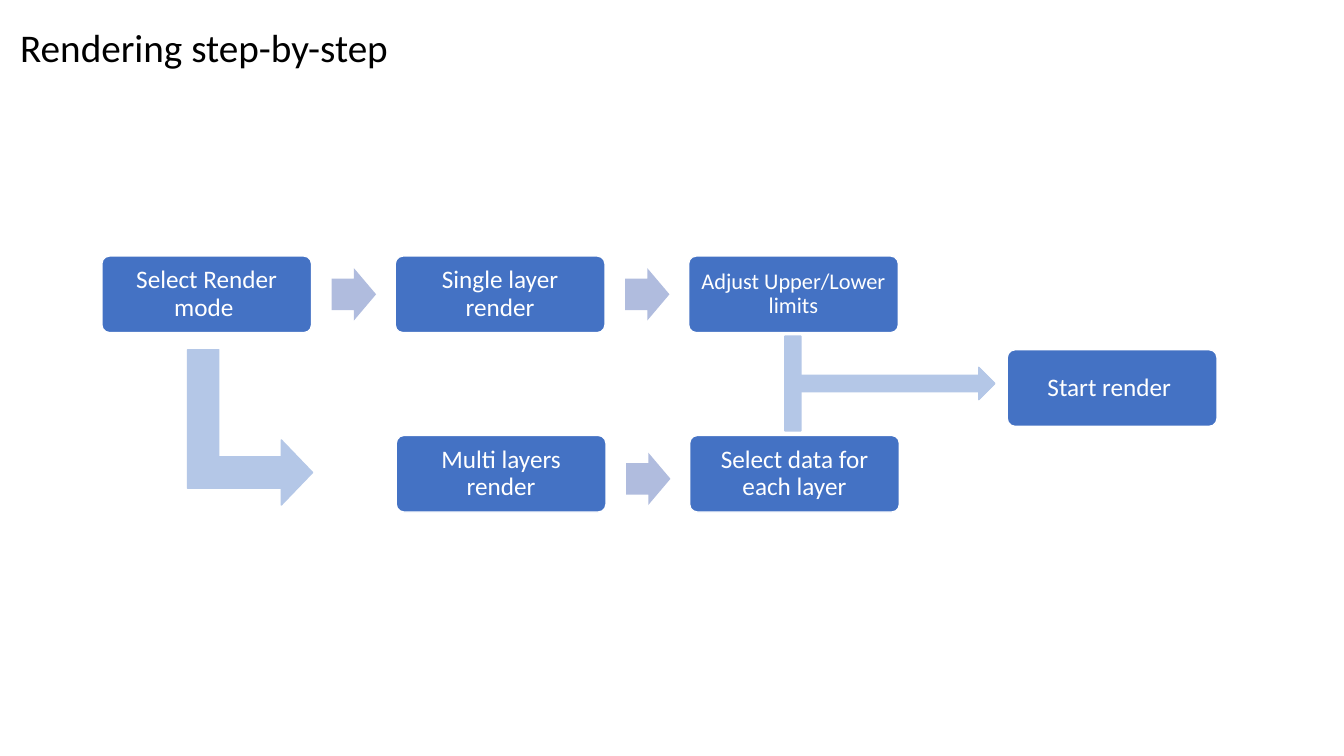
from dataclasses import dataclass

from pptx import Presentation
from pptx import util as u
from pptx.dml.color import RGBColor
from pptx.enum import shapes, text


@dataclass(frozen=True)
class Theme:
    font: str = "Calibri"
    box: str = "4472C4"
    step_arrow: str = "B0BCDE"
    branch_arrow: str = "B4C7E7"
    light: str = "FFFFFF"
    dark: str = "000000"
    title_size: int = 28
    box_size: int = 18
    small_size: int = 16


class FlowSlide:
    BOX_W, BOX_H = 2.08, 0.76

    def __init__(self, prs, theme):
        self.theme = theme
        self.slide = prs.slides.add_slide(prs.slide_layouts[5])

    def label(self, tf, words, size, color, align, spacing, frame):
        for name, value in frame.items():
            setattr(tf, name, value)
        p = tf.paragraphs[0]
        p.alignment, p.line_spacing = align, spacing
        r = p.add_run()
        r.text = words
        for name, value in {"name": self.theme.font, "size": u.Pt(size)}.items():
            setattr(r.font, name, value)
        r.font.color.rgb = RGBColor.from_string(color)

    def title(self, words, x, y, w, h):
        sp = self.slide.shapes.title
        place = {"left": x, "top": y, "width": w, "height": h}
        for name, value in place.items():
            setattr(sp, name, u.Inches(value))
        frame = {"word_wrap": True, "vertical_anchor": text.MSO_ANCHOR.TOP,
                 "auto_size": text.MSO_AUTO_SIZE.NONE}
        self.label(sp.text_frame, words, self.theme.title_size,
                   self.theme.dark, text.PP_ALIGN.LEFT, 1.0, frame)

    def shape(self, kind, x, y, w, h, fill, line=None, adjustments=()):
        sp = self.slide.shapes.add_shape(
            kind, u.Inches(x), u.Inches(y), u.Inches(w), u.Inches(h))
        sp.shadow.inherit = False
        sp.fill.solid()
        sp.fill.fore_color.rgb = RGBColor.from_string(fill)
        if line:
            sp.line.color.rgb = RGBColor.from_string(line)
            sp.line.width = u.Pt(1)
        else:
            sp.line.fill.background()
        for i, value in enumerate(adjustments):
            sp.adjustments[i] = value
        return sp

    def box(self, words, x, y, size):
        sp = self.shape(shapes.MSO_SHAPE.ROUNDED_RECTANGLE, x, y, self.BOX_W,
                        self.BOX_H, self.theme.box, self.theme.light, [0.1])
        frame = {"word_wrap": True, "vertical_anchor": text.MSO_ANCHOR.MIDDLE}
        for side in ("left", "right", "top", "bottom"):
            frame[f"margin_{side}"] = u.Inches(0.09)
        self.label(sp.text_frame, words, size, self.theme.light,
                   text.PP_ALIGN.CENTER, 0.9, frame)

    def step_arrow(self, x, y):
        self.shape(shapes.MSO_SHAPE.RIGHT_ARROW, x, y, 0.44, 0.52,
                   self.theme.step_arrow, adjustments=[0.6, 0.5])

    def bent_arrow(self, x, y, w, h, rotation, flip=False, adjustments=()):
        """Add an elbow arrow; the place given is that before rotation."""
        color = self.theme.branch_arrow
        sp = self.shape(shapes.MSO_SHAPE.BENT_UP_ARROW, x, y, w, h,
                        color, color, adjustments)
        sp.rotation = rotation
        if flip:
            sp.element.spPr.get_or_add_xfrm().set("flipV", "1")


def main():
    prs = Presentation()
    prs.slide_width, prs.slide_height = u.Inches(13.33), u.Inches(7.5)
    theme = Theme()
    flow = FlowSlide(prs, theme)
    flow.title("Rendering step-by-step", 0.1, 0.18, 4.45, 0.57)

    column_step, arrow_offset = 2.91, 2.28
    single_x, single_y = 1.01, 2.54
    multi_x, multi_y = 1.02, 4.32
    boxes = [
        ("Select Render mode ", single_x, single_y, theme.box_size),
        ("Single layer render", single_x + column_step, single_y, theme.box_size),
        ("Adjust Upper/Lower limits", single_x + 2 * column_step, single_y,
         theme.small_size),
        ("Multi layers render", multi_x + column_step, multi_y, theme.box_size),
        ("Select data for each layer", multi_x + 2 * column_step, multi_y,
         theme.box_size),
        ("Start render ", 9.99, 3.47, theme.box_size),
    ]
    for words, x, y, size in boxes:
        flow.box(words, x, y, size)

    for column in range(2):
        flow.step_arrow(single_x + column * column_step + arrow_offset,
                        single_y + 0.12)
    flow.step_arrow(multi_x + column_step + arrow_offset, multi_y + 0.17)

    flow.bent_arrow(1.71, 3.62, 1.54, 1.24, 90, adjustments=[0.25, 0.26, 0.25])
    flow.bent_arrow(8.51, 2.61, 0.63, 2.08, 90)
    flow.bent_arrow(8.51, 2.92, 0.63, 2.08, 270, flip=True)

    prs.save("out.pptx")


if __name__ == "__main__":
    main()
